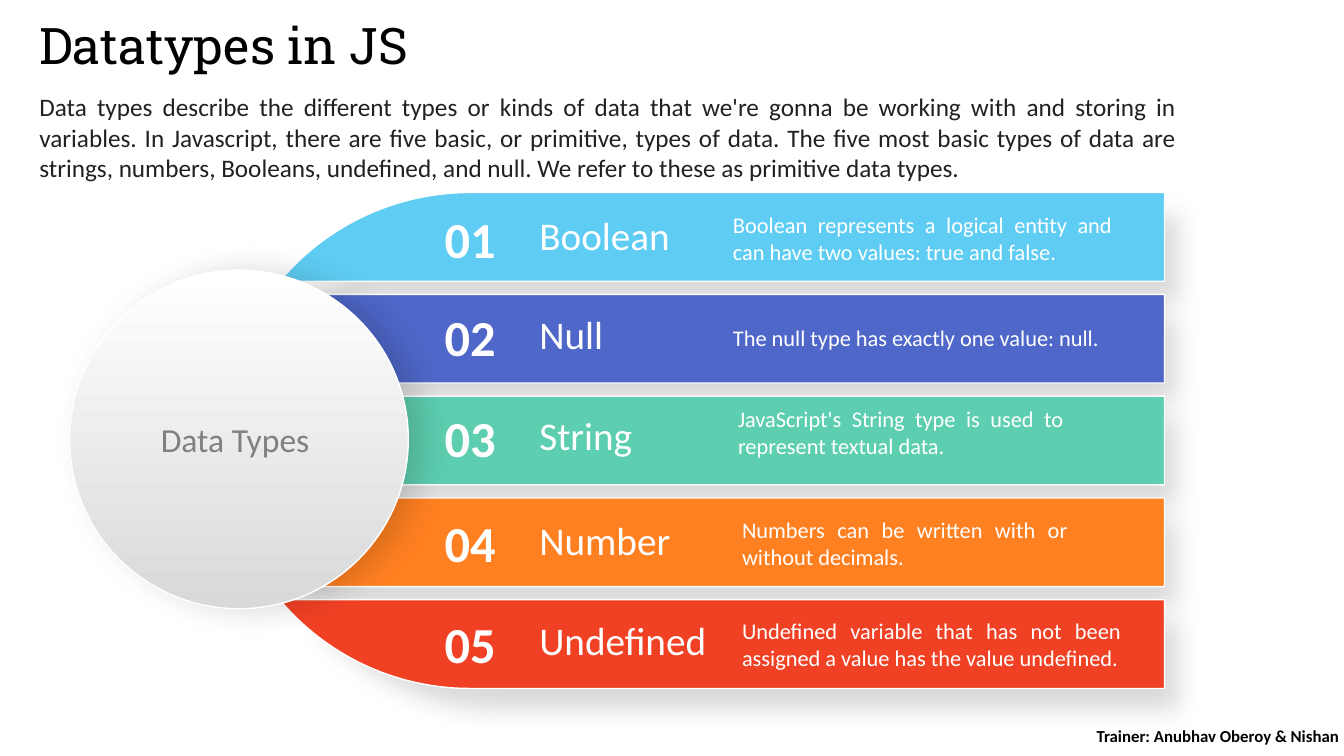
from math import asin, cos, sin, tan

from lxml.etree import SubElement
from pptx import Presentation
from pptx.dml.color import RGBColor
from pptx.enum.shapes import MSO_SHAPE as Preset
from pptx.enum.text import MSO_ANCHOR as Anchor, MSO_AUTO_SIZE as AutoSize, PP_ALIGN as Align
from pptx.oxml.ns import qn
from pptx.util import Pt

PX = 9144
BLACK = RGBColor(0x00, 0x00, 0x00)
INK = RGBColor(0x20, 0x21, 0x24)
GREY = RGBColor(0x80, 0x80, 0x80)
SILVER = RGBColor(0xD9, 0xD9, 0xD9)
WHITE = RGBColor(0xFF, 0xFF, 0xFF)
SKY = RGBColor(0x5E, 0xCC, 0xF3)
INDIGO = RGBColor(0x4E, 0x67, 0xC8)
MINT = RGBColor(0x5D, 0xCE, 0xAF)
ORANGE = RGBColor(0xFF, 0x80, 0x21)
RED = RGBColor(0xF1, 0x41, 0x24)

BAR_TOP, BAR_PITCH, BAR_HEIGHT, BAR_RIGHT = 191, 101, 88, 1155
ARC_X, ARC_Y, ARC_RADIUS = 466, 437, 246

INTRO = (
    "Data types describe the different types or kinds of data that we're gonna be working "
    "with and storing in variables. In Javascript, there are five basic, or primitive, types "
    "of data. The five most basic types of data are strings, numbers, Booleans, undefined, "
    "and null. We refer to these as primitive data types."
)
DATATYPES = [
    ("Boolean", 215, SKY, (727, 209, 376, 54),
     "Boolean represents a logical entity and can have two values: true and false."),
    ("Null", 313, INDIGO, (727, 321, 376, 27),
     "The null type has exactly one value: null."),
    ("String", 413, MINT, (732, 402, 323, 54),
     "JavaScript's String type is used to represent textual data."),
    ("Number", 517, ORANGE, (736, 512, 323, 54),
     "Numbers can be written with or without decimals."),
    ("Undefined", 617, RED, (736, 612, 376, 54),
     "Undefined variable that has not been assigned a value has the value undefined."),
]


def write(shape, text, size, color, font="Calibri", bold=False, align=Align.LEFT,
          anchor=Anchor.TOP, spacing=1.0):
    frame = shape.text_frame
    frame.text = text
    frame.word_wrap = True
    frame.auto_size = AutoSize.NONE
    frame.vertical_anchor = anchor
    paragraph = frame.paragraphs[0]
    paragraph.alignment = align
    paragraph.line_spacing = spacing
    paragraph.space_before = Pt(0)
    style = paragraph.runs[0].font
    style.name, style.size, style.bold = font, Pt(size), bold
    style.color.rgb = color


def place(shape, box):
    shape.left, shape.top, shape.width, shape.height = (n * PX for n in box)


def add_label(slide, box, text, size, color, **style):
    label = slide.shapes.add_textbox(*(n * PX for n in box))
    frame = label.text_frame
    frame.margin_left = frame.margin_top = frame.margin_right = frame.margin_bottom = 0
    write(label, text, size, color, **style)


def outline(shape):
    shape.line.color.rgb = WHITE
    shape.line.width = Pt(1)


def cast_shadow(shape, blur, distance, degrees, scale):
    shape.shadow.inherit = False
    effects = shape._element.spPr.find(qn("a:effectLst"))
    outer = SubElement(effects, qn("a:outerShdw"), blurRad=str(Pt(blur)),
                       dist=str(Pt(distance)), dir=str(degrees * 60000),
                       sx=str(scale * 1000), sy=str(scale * 1000),
                       algn="tl", rotWithShape="0")
    shade = SubElement(outer, qn("a:srgbClr"), val=str(BLACK))
    SubElement(shade, qn("a:alpha"), val="15000")


def arc_points(bottom, top):
    first, last = (asin((y - ARC_Y) / ARC_RADIUS) for y in (bottom, top))
    reach = 4 / 3 * tan((last - first) / 4)
    points = []
    for angle, pull in ((first, 0), (first, reach), (last, -reach), (last, 0)):
        x = ARC_X + ARC_RADIUS * (pull * sin(angle) - cos(angle))
        y = ARC_Y + ARC_RADIUS * (pull * cos(angle) + sin(angle))
        points.append((round(x * PX), round(y * PX)))
    return points


def bend_first_edge(bar, points):
    edge = next(bar._element.iter(qn("a:lnTo")))
    edge.tag = qn("a:cubicBezTo")
    edge.clear()
    for x, y in points:
        SubElement(edge, qn("a:pt"), x=str(x - bar.left), y=str(y - bar.top))


def add_bar(slide, top, color):
    bottom = top + BAR_HEIGHT
    start, *curve = arc_points(bottom, top)
    builder = slide.shapes.build_freeform(*start)
    builder.add_line_segments([curve[-1], (BAR_RIGHT * PX, top * PX),
                               (BAR_RIGHT * PX, bottom * PX)])
    bar = builder.convert_to_shape()
    bend_first_edge(bar, curve)
    bar.fill.solid()
    bar.fill.fore_color.rgb = color
    outline(bar)
    cast_shadow(bar, 18, 31, 30, 97)


def add_hub(slide):
    hub = slide.shapes.add_shape(Preset.OVAL, *(n * PX for n in (69, 268, 336, 336)))
    hub.fill.gradient()
    hub.fill.gradient_angle = 270
    for stop, color, position in zip(hub.fill.gradient_stops, (WHITE, SILVER), (0, 1)):
        stop.color.rgb = color
        stop.position = position
    outline(hub)
    cast_shadow(hub, 22, 10, 0, 100)
    write(hub, "Data Types ", 24, GREY, align=Align.CENTER, anchor=Anchor.MIDDLE)


def drop_bullet(paragraph):
    properties = paragraph._p.get_or_add_pPr()
    properties.set("marL", "0")
    properties.set("indent", "0")
    SubElement(properties, qn("a:buNone"))


def add_intro(slide):
    title, intro = slide.placeholders
    place(title, (29, 16, 926, 58))
    write(title, "Datatypes in JS", 36, BLACK, font="Roboto Slab", spacing=0.9)
    place(intro, (29, 86, 1148, 101))
    write(intro, INTRO, 18, INK, align=Align.JUSTIFY)
    drop_bullet(intro.text_frame.paragraphs[0])


def main():
    deck = Presentation()
    deck.slide_width, deck.slide_height = 1333 * PX, 750 * PX
    slide = deck.slides.add_slide(deck.slide_layouts[1])
    add_intro(slide)
    for row, (_, _, color, _, _) in enumerate(DATATYPES):
        add_bar(slide, BAR_TOP + row * BAR_PITCH, color)
    add_hub(slide)
    for number, (name, top, _, detail_box, detail) in enumerate(DATATYPES, 1):
        add_label(slide, (441, top - 9, 60, 61), f"{number:02}", 36, WHITE, bold=True)
        add_label(slide, (535, top, 193, 42), name, 28, WHITE,
                  anchor=Anchor.MIDDLE, spacing=0.9)
        add_label(slide, detail_box, detail, 16, WHITE,
                  align=Align.JUSTIFY, anchor=Anchor.MIDDLE)
    add_label(slide, (1083, 720, 250, 20), "Trainer: Anubhav Oberoy & Nishan", 12, BLACK,
              bold=True, align=Align.CENTER, anchor=Anchor.MIDDLE)
    deck.save("out.pptx")


if __name__ == "__main__":
    main()
